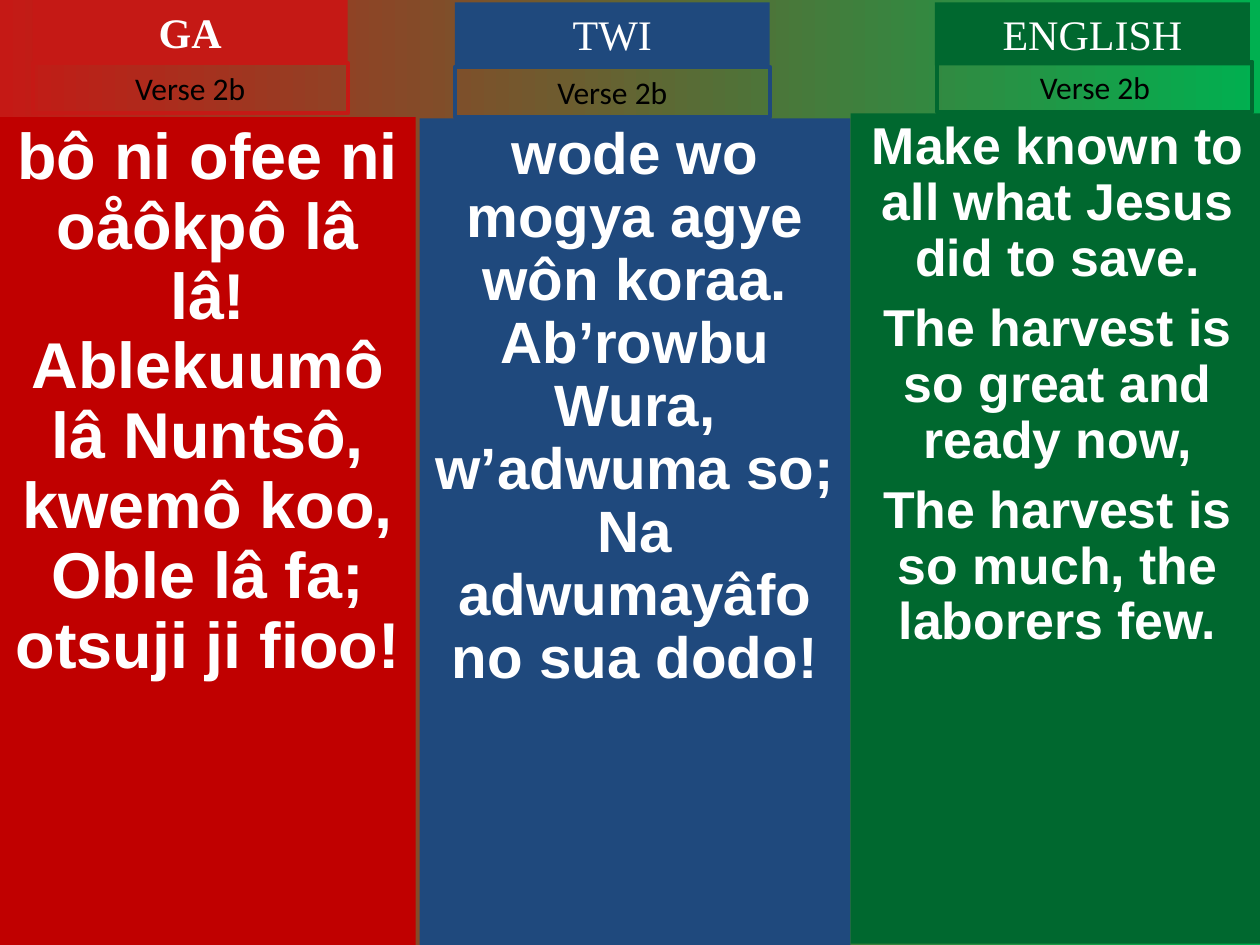
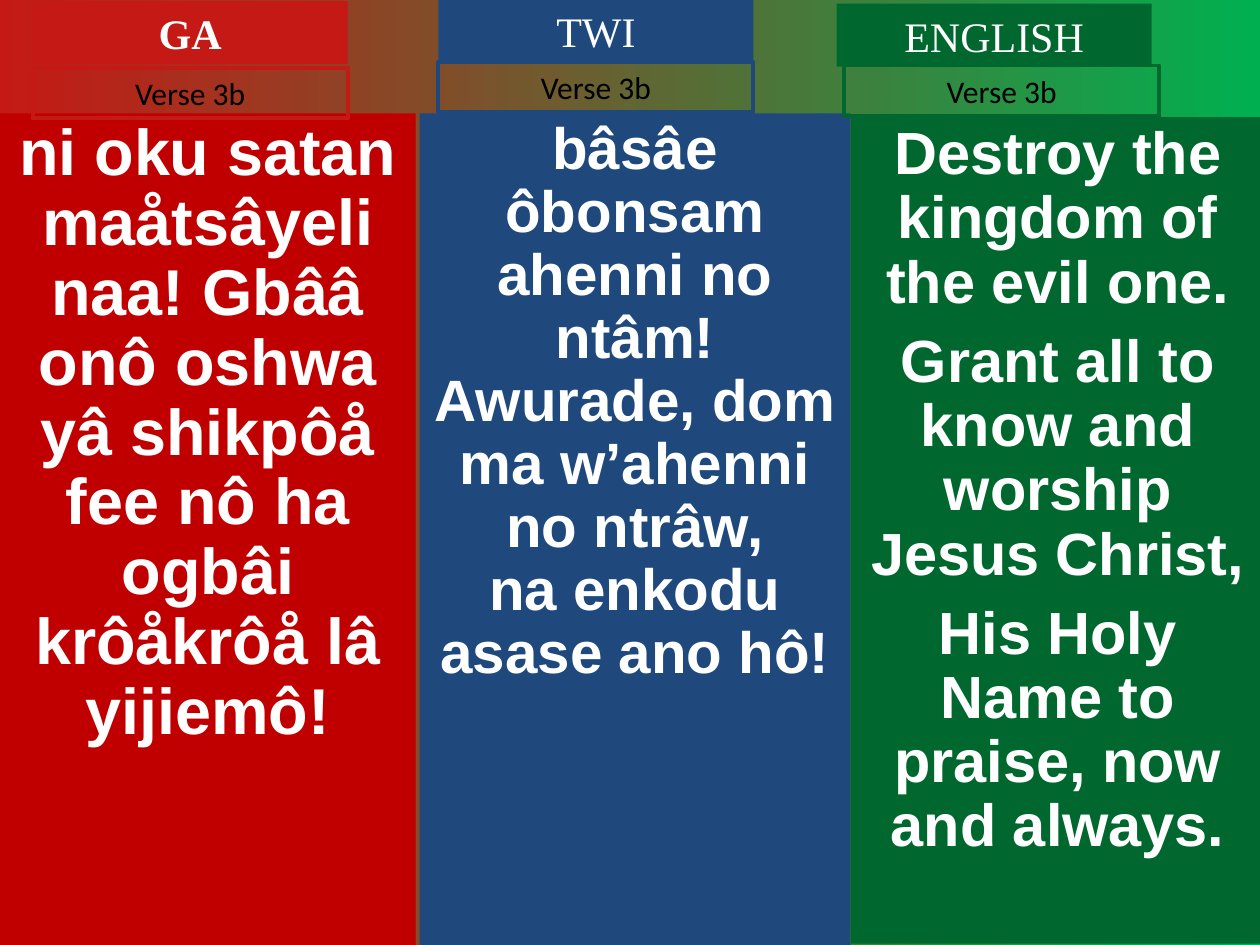
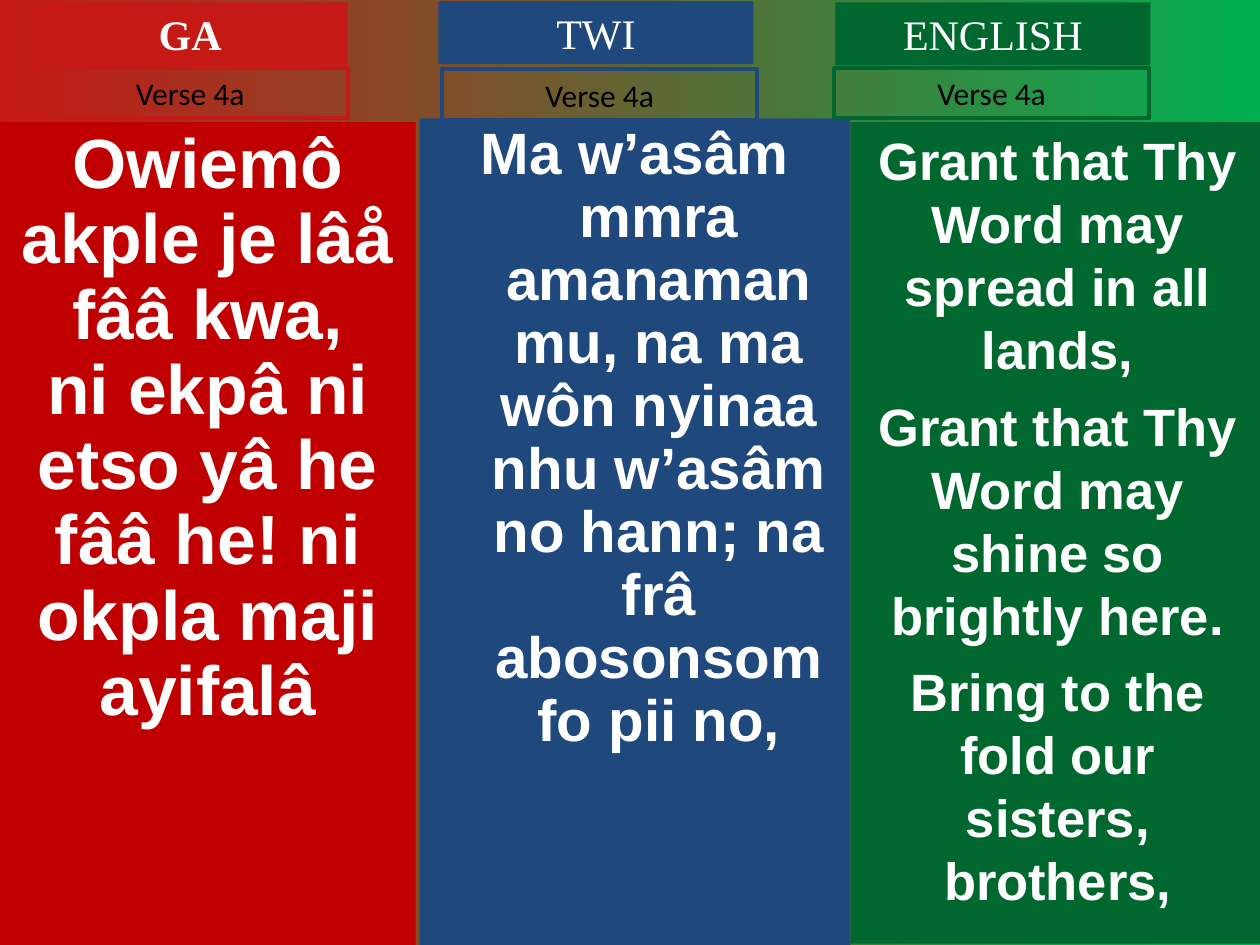
from dataclasses import dataclass

from pptx import Presentation
from pptx.dml.color import RGBColor
from pptx.enum.shapes import MSO_SHAPE as SHAPE
from pptx.enum.text import MSO_ANCHOR as ANCHOR, MSO_AUTO_SIZE as AUTO, PP_ALIGN as ALIGN
from pptx.util import Inches, Pt

# Colours
RED = RGBColor(0xC5, 0x19, 0x15)
DARK_RED = RGBColor(0xC0, 0x00, 0x00)
BLUE = RGBColor(0x1F, 0x49, 0x7D)
DARK_GREEN = RGBColor(0x00, 0x68, 0x2F)
GREEN = RGBColor(0x00, 0xB0, 0x50)
WHITE = RGBColor(0xFF, 0xFF, 0xFF)
BLACK = RGBColor(0x00, 0x00, 0x00)

# Text formats
HEADING = dict(name="Times New Roman", size=Pt(24), bold=False)
TAG = dict(name="Calibri", size=Pt(18), bold=False)
LYRICS = dict(name="Arial", bold=True)

LABEL_W, HEADING_H, TAG_H = 2.5, 0.5, 0.4


@dataclass
class Column:
    """One language column: lyrics panel, heading bar and verse tag."""
    language: str
    label_color: RGBColor
    panel_color: RGBColor
    left: float
    width: float
    bottom: float
    bold: bool = False


COLUMNS = [
    Column("GA", RED, DARK_RED, 0, 3.3, 7.5, bold=True),
    Column("TWI", BLUE, BLUE, 3.33, 3.42, 7.5),
    Column("ENGLISH", DARK_GREEN, DARK_GREEN, 6.75, 3.29, 7.49),
]


@dataclass
class Verse:
    """Lyrics of one column, with the places that vary from slide to slide."""
    heading_at: tuple
    tag_at: tuple
    top: float
    size: float
    lines: list
    before: float = 0
    spacing: float = 0.9
    hanging: float = 0


SLIDES = [
    ("Verse 2b", [
        Verse((0.26, 0), (0.26, 0.5), 0.93, 37, [
            "bô ni ofee ni oåôkpô lâ lâ!",
            "Ablekuumô lâ Nuntsô, kwemô koo,",
            "Oble lâ fa; otsuji ji fioo!"]),
        Verse((3.61, 0.02), (3.61, 0.53), 0.94, 33.3, [
            "wode wo mogya agye wôn koraa.",
            "Ab’rowbu Wura, w’adwuma so;",
            "Na adwumayâfo no sua dodo!"]),
        Verse((7.42, 0.02), (7.44, 0.49), 0.9, 29.6, [
            "Make known to all what Jesus did to save.",
            "The harvest is so great and ready now,",
            "The harvest is so much, the laborers few."], before=8),
    ]),
    ("Verse 3b", [
        Verse((0.26, 0.01), (0.26, 0.54), 0.9, 37, [
            "ni oku satan maåtsâyeli naa! Gbââ onô oshwa yâ shikpôå "
            "fee nô ha ogbâi krôåkrôå lâ yijiemô!"]),
        Verse((3.48, -0.01), (3.48, 0.49), 0.9, 33.3, [
            "bâsâe ôbonsam ahenni no ntâm!",
            "Awurade, dom ma w’ahenni no ntrâw,",
            "na enkodu asase ano hô!"]),
        Verse((6.64, 0.03), (6.7, 0.52), 0.93, 34, [
            "Destroy the kingdom of the evil one.",
            "Grant all to know and worship Jesus Christ,",
            "His Holy Name to praise, now and always."], before=8.5),
    ]),
    ("Verse 4a", [
        Verse((0.26, 0.02), (0.26, 0.54), 0.97, 39.8, [
            "Owiemô akple je lâå fââ kwa,",
            "ni ekpâ ni etso yâ he fââ he! ni okpla maji ayifalâ"]),
        Verse((3.48, 0.01), (3.51, 0.55), 0.94, 33.3, [
            "Ma w’asâm mmra amanaman mu, na ma wôn nyinaa nhu w’asâm "
            "no hann; na frâ abosonsom fo pii no,"], hanging=0.38),
        Verse((6.63, 0.02), (6.62, 0.54), 0.97, 30, [
            "Grant that Thy Word may spread in all lands,",
            "Grant that Thy Word may shine so brightly here.",
            "Bring to the fold our sisters, brothers,"], before=7.5, spacing=1.0),
    ]),
]


def paint_background(s):
    fill = s.background.fill
    fill.gradient()
    fill.gradient_angle = 0
    for stop, color, position in zip(fill.gradient_stops, (RED, GREEN), (0, 1)):
        stop.color.rgb = color
        stop.position = position


def add_rect(s, left, top, width, height, fill=None, line=None):
    sp = s.shapes.add_shape(SHAPE.RECTANGLE, *map(Inches, (left, top, width, height)))
    sp.shadow.inherit = False
    if fill is None:
        sp.fill.background()
    else:
        sp.fill.solid()
        sp.fill.fore_color.rgb = fill
    if line is None:
        sp.line.fill.background()
    else:
        sp.line.color.rgb = line
        sp.line.width = Pt(2.25)
    sp.text_frame.word_wrap = True
    return sp


def write(p, text, color, fmt):
    p.alignment = ALIGN.CENTER
    r = p.add_run()
    r.text = text
    r.font.color.rgb = color
    for key, value in fmt.items():
        setattr(r.font, key, value)


def add_label(s, at, height, text, color, fmt, fill=None, line=None):
    tf = add_rect(s, *at, LABEL_W, height, fill, line).text_frame
    tf.vertical_anchor = ANCHOR.MIDDLE
    tf.auto_size = AUTO.SHAPE_TO_FIT_TEXT
    write(tf.paragraphs[0], text, color, fmt)


def add_lyrics(s, col, verse):
    sp = add_rect(s, col.left, verse.top, col.width, col.bottom - verse.top, col.panel_color)
    tf = sp.text_frame
    tf.vertical_anchor = ANCHOR.TOP
    for i, line in enumerate(verse.lines):
        p = tf.add_paragraph() if i else tf.paragraphs[0]
        p.line_spacing = verse.spacing
        p.space_before = Pt(verse.before if i else 0)
        if verse.hanging:
            pPr = p._p.get_or_add_pPr()
            pPr.set("marL", str(Inches(verse.hanging)))
            pPr.set("indent", str(-Inches(verse.hanging)))
        write(p, line, WHITE, LYRICS | {"size": Pt(verse.size)})


def add_column(s, col, verse, tag):
    add_lyrics(s, col, verse)
    add_label(s, verse.heading_at, HEADING_H, col.language, WHITE,
              HEADING | {"bold": col.bold}, fill=col.label_color)
    add_label(s, verse.tag_at, TAG_H, tag, BLACK, TAG, line=col.label_color)


def main():
    prs = Presentation()
    prs.slide_width, prs.slide_height = Inches(10), Inches(7.5)
    for tag, verses in SLIDES:
        s = prs.slides.add_slide(prs.slide_layouts[6])
        paint_background(s)
        for col, verse in zip(COLUMNS, verses):
            add_column(s, col, verse, tag)
    prs.save("out.pptx")


if __name__ == "__main__":
    main()
